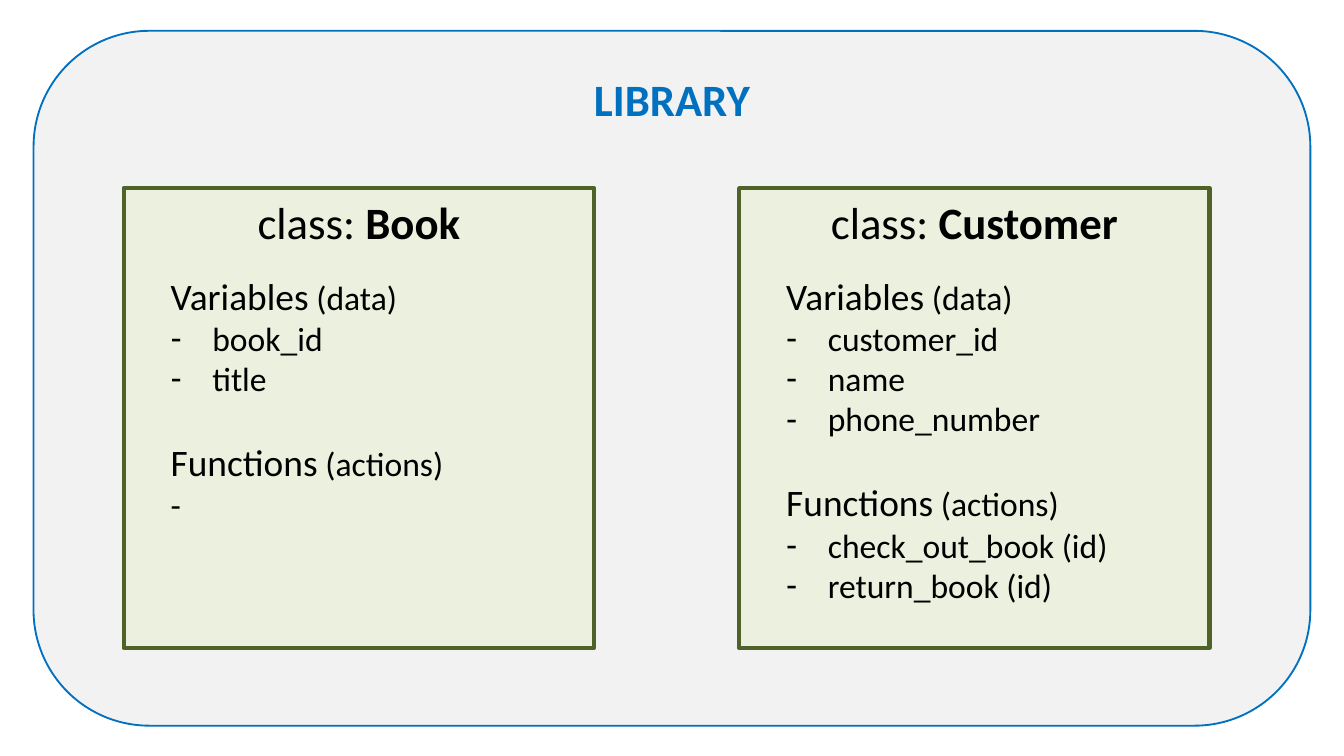
from dataclasses import dataclass

import pptx
import pptx.dml.color
import pptx.enum.shapes
import pptx.enum.text
import pptx.oxml
import pptx.oxml.ns
import pptx.util

Inches = pptx.util.Inches
Pt = pptx.util.Pt
RGBColor = pptx.dml.color.RGBColor
Shape = pptx.enum.shapes.MSO_SHAPE
Align = pptx.enum.text.PP_ALIGN
Anchor = pptx.enum.text.MSO_ANCHOR
Fit = pptx.enum.text.MSO_AUTO_SIZE

BLUE = RGBColor(0x00, 0x70, 0xC0)
GREY = RGBColor(0xF2, 0xF2, 0xF2)
PALE = RGBColor(0xEB, 0xF1, 0xDE)
GREEN = RGBColor(0x4F, 0x62, 0x28)
BLACK = RGBColor(0, 0, 0)

FONT = "Calibri"
WIDE = 10
TOP, WIDTH, HEIGHT = 1.4, 3.5, 3.42
HANG = Inches(0.31)


@dataclass
class Card:
    name: str
    left: float
    data: list[str]
    acts: list[str]


CARDS = [
    Card("Book", 0.92, ["book_id", "title"], []),
    Card("Customer", 5.5, ["customer_id", "name", "phone_number"],
         ["check_out_book (id)", "return_book (id)"]),
]


def add_box(slide, kind, area: tuple, fill: RGBColor, edge: RGBColor, width: float):
    box = slide.shapes.add_shape(kind, *map(Inches, area))
    box.shadow.inherit = False
    box.fill.solid()
    box.fill.fore_color.rgb = fill
    box.line.color.rgb = edge
    box.line.width = Pt(width)
    return box


def place(slide, holder, area: tuple):
    """Move a placeholder to its area, in front of the boxes."""
    holder.left, holder.top, holder.width, holder.height = map(Inches, area)
    slide.shapes._spTree.append(holder._element)
    frame = holder.text_frame
    frame.auto_size = Fit.NONE
    frame.vertical_anchor = Anchor.TOP
    return frame


def style(para, color: RGBColor, size: float | None = None) -> None:
    para.font.name = FONT
    para.font.color.rgb = color
    if size:
        para.font.size = Pt(size)


def set_bullet(para, mark: str = "") -> None:
    """Hang the paragraph on a mark, or clear the inherited bullet."""
    props = para._p.get_or_add_pPr()
    props.set("marL", str(HANG if mark else 0))
    props.set("indent", str(-HANG if mark else 0))
    tag = f'buChar char="{mark}"' if mark else "buNone"
    space = pptx.oxml.ns.nsdecls("a")
    bullet = pptx.oxml.parse_xml(f"<a:{tag} {space}/>")
    props.insert_element_before(bullet, "a:tabLst", "a:defRPr", "a:extLst")


def add_line(frame, gap: float = 0, mark: str = ""):
    first = frame.paragraphs[0]
    para = frame.add_paragraph() if first.runs else first
    para.space_before = Pt(gap)
    style(para, BLACK)
    set_bullet(para, mark)
    return para


def add_part(frame, head: str, note: str, items: list[str], gap: float = 0) -> None:
    para = add_line(frame, gap)
    for text, size in ((head, 20), (f" ({note})", 18)):
        run = para.add_run()
        run.text = text
        run.font.size = Pt(size)
    for item in items:
        para = add_line(frame, mark="-")
        para.font.size = Pt(18)
        para.add_run().text = item
    if not items:
        para = add_line(frame)
        para.font.size = Pt(18)
        para.add_run().text = "-"


def add_card(slide, holder, card: Card) -> None:
    box = add_box(slide, Shape.RECTANGLE, (card.left, TOP, WIDTH, HEIGHT),
                  PALE, GREEN, 2.25)
    box.text_frame.vertical_anchor = Anchor.TOP
    para = box.text_frame.paragraphs[0]
    para.alignment = Align.CENTER
    style(para, BLACK, 24)
    para.add_run().text = "class: "
    name = para.add_run()
    name.text = card.name
    name.font.bold = True

    frame = place(slide, holder, (card.left + 0.25, 1.98, 3, 2.6))
    add_part(frame, "Variables", "data", card.data)
    add_part(frame, "Functions", "actions", card.acts, gap=22)


def main() -> None:
    deck = pptx.Presentation()
    deck.slide_width, deck.slide_height = Inches(WIDE), Inches(WIDE * 9 / 16)
    slide = deck.slides.add_slide(deck.slide_layouts.get_by_name("Two Content"))
    title, *lists = slide.placeholders

    add_box(slide, Shape.ROUNDED_RECTANGLE, (0.25, 0.23, 9.5, 5.17), GREY, BLUE, 1)
    frame = place(slide, title, (0.5, 0.48, 9, 0.55))
    para = frame.paragraphs[0]
    para.alignment = Align.CENTER
    style(para, BLUE, 24)
    para.font.bold = True
    para.add_run().text = "LIBRARY"

    for holder, card in zip(lists, CARDS):
        add_card(slide, holder, card)
    deck.save("out.pptx")


if __name__ == "__main__":
    main()
